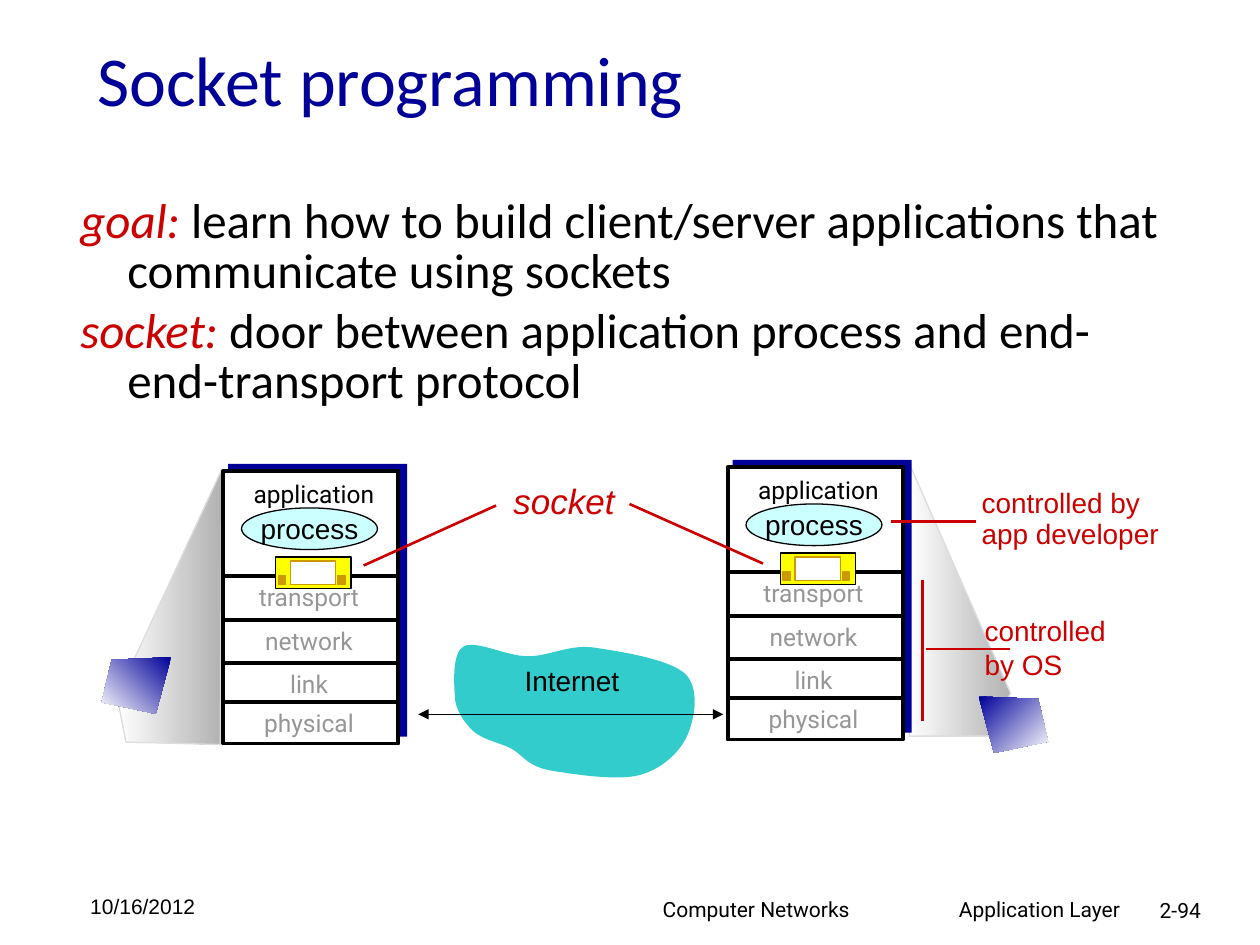
from lxml.etree import SubElement
from pptx import Presentation
from pptx.dml.color import RGBColor
from pptx.enum.shapes import MSO_CONNECTOR, MSO_SHAPE
from pptx.enum.text import MSO_ANCHOR, PP_ALIGN
from pptx.oxml.ns import qn
from pptx.util import Cm, Pt

NAVY = RGBColor(0x00, 0x00, 0x99)
RED = RGBColor(0xCC, 0x00, 0x00)
BLACK = RGBColor(0x00, 0x00, 0x00)
WHITE = RGBColor(0xFF, 0xFF, 0xFF)
GREY = RGBColor(0x96, 0x96, 0x96)
BEAM_GREY = RGBColor(0xB2, 0xB2, 0xB2)
BEAM_EDGE = RGBColor(0xDD, 0xDD, 0xDD)
TEAL = RGBColor(0x33, 0xCC, 0xCC)
PALE_CYAN = RGBColor(0xCC, 0xFF, 0xFF)
YELLOW = RGBColor(0xFF, 0xFF, 0x00)
GOLD = RGBColor(0xCC, 0x99, 0x00)

STACK_WIDTH, STACK_HEIGHT = 3.53, 5.49
LOWER_LAYERS = [("transport", 2.11), ("network", 3.0), ("link", 3.86), ("physical", 4.65)]
# Start point, then two control points and an end point for each curve
CLOUD_POINTS = [
    (0.05, 1.12),
    (0.03, 0.84), (0, 0.25), (0.23, 0.13),
    (0.48, 0), (1.09, 0.33), (1.52, 0.33),
    (1.96, 0.33), (2.31, 0.1), (2.82, 0.15),
    (3.35, 0.23), (4.37, 0.38), (4.7, 0.69),
    (5.0, 0.99), (4.88, 1.63), (4.72, 1.96),
    (4.55, 2.31), (4.17, 2.64), (3.71, 2.74),
    (3.23, 2.84), (2.31, 2.69), (1.91, 2.62),
    (1.47, 2.51), (1.42, 2.31), (1.17, 2.18),
    (0.91, 2.06), (0.61, 2.01), (0.41, 1.83),
    (0.23, 1.65), (0.05, 1.4), (0.05, 1.12),
]


def format_text(paragraph, size, font, color, italic=False):
    for run in paragraph.runs:
        run.font.size = Pt(size)
        run.font.name = font
        run.font.color.rgb = color
        run.font.italic = italic


def add_text(slide, text, box, size, font, color, align=PP_ALIGN.LEFT, spacing=None, italic=False):
    label = slide.shapes.add_textbox(*map(Cm, box))
    label.text_frame.word_wrap = True
    label.text_frame.text = text
    for paragraph in label.text_frame.paragraphs:
        paragraph.alignment = align
        paragraph.line_spacing = spacing
        format_text(paragraph, size, font, color, italic)
    return label


def set_outline(shape, color, width):
    shape.shadow.inherit = False
    if color is None:
        shape.line.fill.background()
    else:
        shape.line.color.rgb = color
        shape.line.width = Pt(width)


def add_block(slide, box, fill, outline=None, width=0.75, kind=MSO_SHAPE.RECTANGLE):
    block = slide.shapes.add_shape(kind, *map(Cm, box))
    block.fill.solid()
    block.fill.fore_color.rgb = fill
    set_outline(block, outline, width)
    return block


def add_line(slide, start, end, color, width, arrows=False):
    line = slide.shapes.add_connector(MSO_CONNECTOR.STRAIGHT, *map(Cm, (*start, *end)))
    line.line.color.rgb = color
    line.line.width = Pt(width)
    properties = line.element.spPr
    if arrows:
        for tag in ("a:headEnd", "a:tailEnd"):
            SubElement(properties.find(qn("a:ln")), qn(tag), type="triangle")
    SubElement(properties, qn("a:effectLst"))


def add_outline(slide, left, top, points, outline=None):
    corners = [(Cm(left + x), Cm(top + y)) for x, y in points]
    builder = slide.shapes.build_freeform(*corners[0], scale=1.0)
    builder.add_line_segments(corners[1:], close=True)
    form = builder.convert_to_shape()
    set_outline(form, outline, 0.75)
    return form


def add_gradient_outline(slide, left, top, points, colors, angle, outline=None):
    form = add_outline(slide, left, top, points, outline)
    form.fill.gradient()
    form.fill.gradient_angle = angle
    for stop, color in zip(form.fill.gradient_stops, colors):
        stop.color.rgb = color


def bend_segments(form):
    """Turn each three straight segments into one Bézier curve."""
    segments = list(form.element.iter(qn("a:lnTo")))
    for first in range(0, len(segments), 3):
        curve, *others = segments[first:first + 3]
        bezier = SubElement(curve.getparent(), qn("a:cubicBezTo"))
        curve.addprevious(bezier)
        for segment in (curve, *others):
            bezier.append(segment[0])
            segment.getparent().remove(segment)


def add_heading(slide, left, top, width, height):
    title = slide.shapes.title
    title.left, title.top, title.width, title.height = map(Cm, (left, top, width, height))
    title.text_frame.text = "Socket programming"
    title.text_frame.vertical_anchor = MSO_ANCHOR.MIDDLE
    title.text_frame.paragraphs[0].alignment = PP_ALIGN.LEFT
    format_text(title.text_frame.paragraphs[0], 40, "Calibri", NAVY)


def add_definitions(slide, left, top, width, height):
    definitions = [
        ("goal:", " learn how to build client/server applications that communicate using sockets"),
        ("socket:", " door between application process and end-end-transport protocol"),
    ]
    text = "\n".join(term for term, _ in definitions)
    body = add_text(slide, text, (left, top, width, height), 28, "Calibri", RED,
                    spacing=0.85, italic=True)
    for index, (paragraph, (_, meaning)) in enumerate(zip(body.text_frame.paragraphs, definitions)):
        paragraph.space_before = Pt(5.6 if index else 0)
        # Hanging indent
        indent = paragraph._p.get_or_add_pPr()
        indent.set("marL", str(Cm(0.95)))
        indent.set("indent", str(-Cm(0.95)))
        run = paragraph.add_run()
        run.text = meaning
        run.font.size = Pt(28)
        run.font.name = "Calibri"
        run.font.color.rgb = BLACK


def add_socket_door(slide, left, top):
    add_block(slide, (left, top, 1.52, 0.64), YELLOW, BLACK)
    add_block(slide, (left + 0.3, top + 0.08, 0.91, 0.48), WHITE, GOLD)
    for offset in (0.05, 1.25):
        add_block(slide, (left + offset, top + 0.37, 0.15, 0.18), GOLD, GOLD)


def add_protocol_stack(slide, left, top):
    add_block(slide, (left + 0.1, top - 0.15, 3.61, 5.5), NAVY)
    add_block(slide, (left, top, STACK_WIDTH, STACK_HEIGHT), WHITE, BLACK, 2.25)
    # Layers
    add_text(slide, "application", (left, top - 0.03, 3.66, 0.91), 14, "Roboto", BLACK,
             PP_ALIGN.CENTER, 1.1)
    for layer, offset in LOWER_LAYERS:
        add_line(slide, (left, top + offset), (left + STACK_WIDTH, top + offset), BLACK, 2.25)
        add_text(slide, layer, (left - 0.1, top + offset - 0.06, 3.66, 0.91), 14, "Roboto", GREY,
                 PP_ALIGN.CENTER, 1.1)
    # Process and its socket
    process = add_block(slide, (left + 0.37, top + 0.74, 2.74, 0.84), PALE_CYAN, BLACK,
                        kind=MSO_SHAPE.OVAL)
    process.text_frame.text = "process"
    process.text_frame.word_wrap = False
    process.text_frame.vertical_anchor = MSO_ANCHOR.MIDDLE
    process.text_frame.paragraphs[0].alignment = PP_ALIGN.CENTER
    format_text(process.text_frame.paragraphs[0], 16, "Arial", BLACK)
    add_socket_door(slide, left + 1.06, top + 1.73)


def add_internet(slide, left, top):
    cloud = add_outline(slide, left, top, CLOUD_POINTS)
    bend_segments(cloud)
    cloud.fill.solid()
    cloud.fill.fore_color.rgb = TEAL
    add_text(slide, "Internet", (left + 1.09, top + 0.36, 2.64, 0.94), 16, "Arial", BLACK,
             PP_ALIGN.CENTER)
    add_line(slide, (left - 0.69, top + 1.5), (left + 5.46, top + 1.5), BLACK, 0.75, arrows=True)


def add_beams(slide, left, top):
    beams = [
        (15.95, -0.17, [(2.06, 4.67), (0, 0), (0.03, 5.54), (1.68, 5.54)]),
        (0, 0, [(0, 4.57), (2.11, 0), (2.08, 5.54), (0.18, 5.49)]),
    ]
    for x, y, points in beams:
        add_gradient_outline(slide, left + x, top + y, points, (WHITE, BEAM_GREY), 0, BEAM_EDGE)


def add_computers(slide, left, top):
    tile = [(1.4, 0), (0.2, 0.05), (0, 0.91), (1.09, 1.14)]
    mirrored = [(1.4 - x, y) for x, y in tile]
    add_gradient_outline(slide, left, top, tile, (NAVY, WHITE), 225)
    add_gradient_outline(slide, left + 17.68, top + 0.79, mirrored, (NAVY, WHITE), 315)


def add_callouts(slide, left, top):
    # Socket label in the middle, control labels on the right
    add_text(slide, "socket", (left, top, 2.8, 1.02), 20, "Arial", RED, spacing=0.9, italic=True)
    add_text(slide, "controlled by\napp developer", (left + 9.44, top + 0.12, 4.4, 1.47),
             16, "Arial", RED, spacing=0.9)
    add_text(slide, "controlled\nby OS", (left + 9.5, top + 2.62, 3.3, 2.29), 16, "Arial", RED)
    leaders = [
        ((-2.77, 1.77), (-0.1, 0.56)), ((5.28, 1.73), (2.59, 0.53)),
        ((9.57, 0.88), (7.87, 0.88)),
        ((8.5, 2.07), (8.5, 4.9)), ((10.26, 3.45), (8.56, 3.45)),
    ]
    for start, end in leaders:
        add_line(slide, (left + start[0], top + start[1]), (left + end[0], top + end[1]), RED, 1.5)


def add_footer(slide, left, top):
    add_text(slide, "10/16/2012", (left, top, 5.28, 0.91), 12, "Arial", BLACK)
    course = add_text(slide, "Computer Networks\tApplication Layer",
                      (left + 11.54, top + 0.05, 9.73, 0.79), 12, "Roboto", BLACK)
    tabs = SubElement(course.text_frame.paragraphs[0]._p.get_or_add_pPr(), qn("a:tabLst"))
    SubElement(tabs, qn("a:tab"), pos=str(Cm(5.97)), algn="l")
    add_text(slide, "2-94", (left + 21.56, top + 0.08, 1.88, 0.76), 12, "Roboto", BLACK)


def main():
    presentation = Presentation()
    presentation.slide_width, presentation.slide_height = Cm(25.4), Cm(19.05)
    slide = presentation.slides.add_slide(presentation.slide_layouts[5])
    add_heading(slide, 1.71, 0, 21.59, 3.18)
    add_definitions(slide, 1.37, 3.88, 22.28, 4.27)
    add_beams(slide, 2.36, 9.47)
    add_internet(slide, 9.12, 12.9)
    add_protocol_stack(slide, 4.5, 9.5)
    add_protocol_stack(slide, 14.67, 9.42)
    add_callouts(slide, 10.1, 9.63)
    add_computers(slide, 2.05, 13.25)
    add_footer(slide, 1.57, 17.89)
    presentation.save("out.pptx")


if __name__ == "__main__":
    main()
